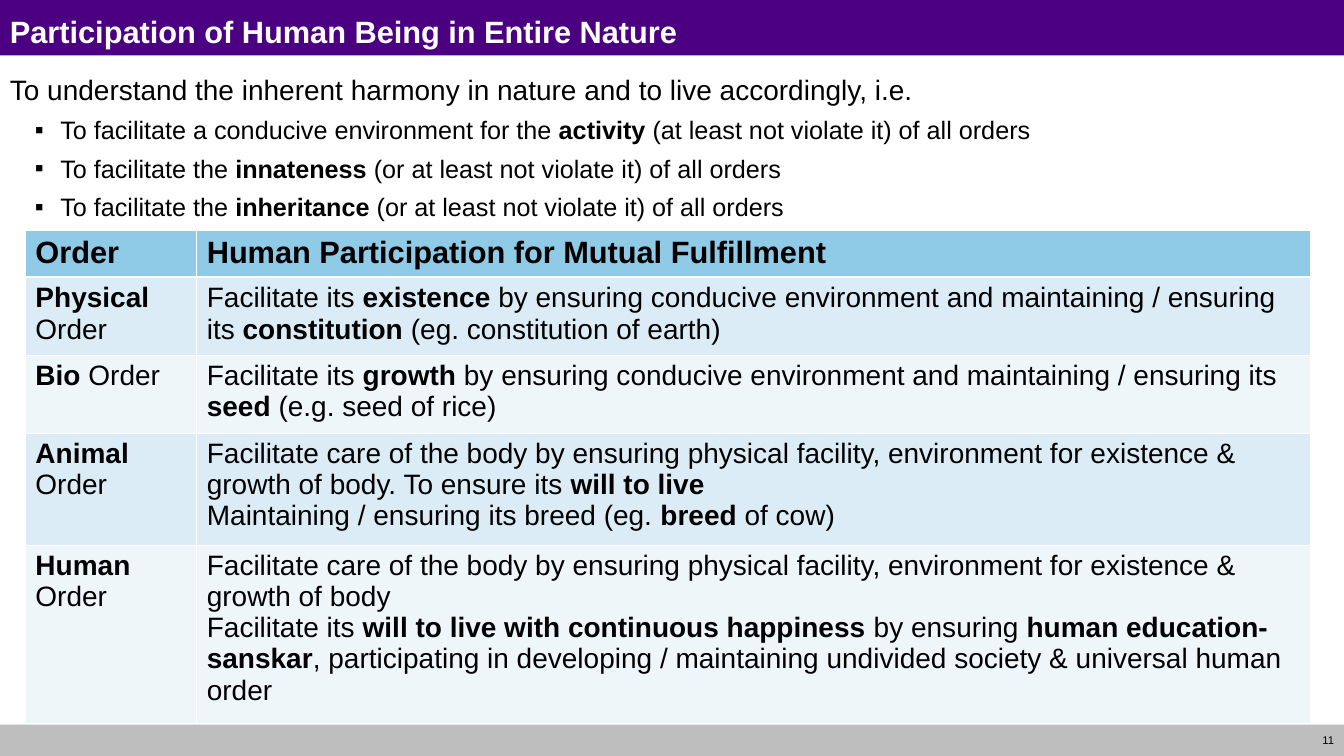
from pptx import Presentation
from pptx.dml.color import RGBColor
from pptx.enum.shapes import MSO_SHAPE
from pptx.enum.text import MSO_ANCHOR, PP_ALIGN
from pptx.oxml import parse_xml
from pptx.oxml.ns import nsdecls
from pptx.util import Cm, Pt

# Text between ** marks is bold.
TITLE = "Participation of Human Being in Entire Nature"
INTRO = "To understand the inherent harmony in nature and to live accordingly, i.e."
GOALS = [
    "To facilitate a conducive environment for the **activity** (at least not violate it) of all orders",
    "To facilitate the **innateness** (or at least not violate it) of all orders",
    "To facilitate the **inheritance** (or at least not violate it) of all orders",
]
HEADER = ("Order", "Human Participation for Mutual Fulfillment")
ORDERS = [
    ("**Physical** Order", [
        "Facilitate its **existence** by ensuring conducive environment and maintaining / ensuring "
        "its **constitution** (eg. constitution of earth)"]),
    ("**Bio** Order", [
        "Facilitate its **growth** by ensuring conducive environment and maintaining / ensuring "
        "its **seed** (e.g. seed of rice)"]),
    ("**Animal** Order", [
        "Facilitate care of the body by ensuring physical facility, environment for existence & "
        "growth of body. To ensure its **will to live**",
        "Maintaining / ensuring its breed (eg. **breed** of cow)"]),
    ("**Human** Order", [
        "Facilitate care of the body by ensuring physical facility, environment for existence & "
        "growth of body",
        "Facilitate its **will to live with continuous happiness** by ensuring "
        "**human education-sanskar**, participating in developing / maintaining undivided society "
        "& universal human order"]),
]
PAGE_NUMBER = "11"

FONT = "Arial"
BLACK = RGBColor(0x00, 0x00, 0x00)
WHITE = RGBColor(0xFF, 0xFF, 0xFF)
INDIGO = RGBColor(0x4B, 0x00, 0x82)
GREY = RGBColor(0xBE, 0xBE, 0xBE)
HEADER_BLUE = RGBColor(0x8F, 0xCA, 0xE7)
BAND_BLUES = (RGBColor(0xDB, 0xEC, 0xF6), RGBColor(0xEE, 0xF6, 0xFA))

SLIDE_W, SLIDE_H = Cm(33.88), Cm(19.05)
FOOTER_TOP = Cm(18.26)
FOOTER_H = SLIDE_H - FOOTER_TOP
PAGE_W = Cm(1.6)
COLUMN_WIDTHS = (Cm(4.32), Cm(28.07))
ROW_HEIGHTS = (Cm(1.19), Cm(1.96), Cm(1.96), Cm(2.82), Cm(4.5))
THIN, THICK = Pt(0.45), Pt(1.47)


def write(paragraph, marked_text, size, color=BLACK, bold=False):
    """Fill a paragraph, setting the parts between ** marks in bold."""
    paragraph.font.name = FONT
    paragraph.font.size = Pt(size)
    paragraph.font.color.rgb = color
    paragraph.font.bold = bold
    for position, part in enumerate(marked_text.split("**")):
        if part:
            run = paragraph.add_run()
            run.text = part
            if position % 2:
                run.font.bold = True


def add_bar(slide, top, height, color):
    bar = slide.shapes.add_shape(MSO_SHAPE.RECTANGLE, 0, top, SLIDE_W, height)
    bar.shadow.inherit = False
    bar.fill.solid()
    bar.fill.fore_color.rgb = color
    bar.line.fill.background()


def add_text_frame(slide, left, top, width, height):
    frame = slide.shapes.add_textbox(left, top, width, height).text_frame
    frame.word_wrap = True
    return frame


def add_bullet(paragraph):
    properties = paragraph._p.get_or_add_pPr()
    properties.set("marL", str(Cm(1.27)))
    properties.set("indent", str(-Cm(0.64)))
    properties.append(parse_xml(f'<a:buFont {nsdecls("a")} typeface="{FONT}"/>'))
    properties.append(parse_xml(f'<a:buChar {nsdecls("a")} char="▪"/>'))


def set_borders(cell, top, bottom):
    properties = cell._tc.get_or_add_tcPr()
    sides = (("lnL", THIN), ("lnR", THIN), ("lnT", top), ("lnB", bottom))
    for place, (side, width) in enumerate(sides):
        properties.insert(place, parse_xml(
            f'<a:{side} {nsdecls("a")} w="{int(width)}"><a:solidFill>'
            f'<a:srgbClr val="{WHITE}"/></a:solidFill></a:{side}>'))


def add_orders_table(slide):
    rows = [(HEADER[0], [HEADER[1]])] + ORDERS
    table = slide.shapes.add_table(
        len(rows), len(HEADER), Cm(0.64), Cm(5.8), sum(COLUMN_WIDTHS), sum(ROW_HEIGHTS)).table
    table.horz_banding = False
    for column, width in zip(table.columns, COLUMN_WIDTHS):
        column.width = width
    for index, (order, participation) in enumerate(rows):
        table.rows[index].height = ROW_HEIGHTS[index]
        is_header = index == 0
        for column, lines in enumerate(([order], participation)):
            cell = table.cell(index, column)
            cell.fill.solid()
            cell.fill.fore_color.rgb = HEADER_BLUE if is_header else BAND_BLUES[(index - 1) % 2]
            set_borders(cell, THICK if index == 1 else THIN, THICK if is_header else THIN)
            frame = cell.text_frame
            for number, line in enumerate(lines):
                paragraph = frame.add_paragraph() if number else frame.paragraphs[0]
                write(paragraph, line, 22 if is_header else 20, bold=is_header)


def main():
    deck = Presentation()
    deck.slide_width, deck.slide_height = SLIDE_W, SLIDE_H
    slide = deck.slides.add_slide(deck.slide_layouts[6])

    add_bar(slide, 0, Cm(1.4), INDIGO)
    add_bar(slide, FOOTER_TOP, FOOTER_H, GREY)

    page = add_text_frame(slide, SLIDE_W - PAGE_W, FOOTER_TOP, PAGE_W, FOOTER_H)
    page.vertical_anchor = MSO_ANCHOR.MIDDLE
    page.paragraphs[0].alignment = PP_ALIGN.RIGHT
    write(page.paragraphs[0], PAGE_NUMBER, 8)

    title = add_text_frame(slide, 0, Cm(0.2), SLIDE_W, Cm(1.07))
    write(title.paragraphs[0], TITLE, 22, WHITE, bold=True)

    body = add_text_frame(slide, 0, Cm(1.7), SLIDE_W, Cm(4))
    write(body.paragraphs[0], INTRO, 20)
    for goal in GOALS:
        paragraph = body.add_paragraph()
        paragraph.space_before = Pt(6)
        add_bullet(paragraph)
        write(paragraph, goal, 18)

    add_orders_table(slide)
    deck.save("out.pptx")


if __name__ == "__main__":
    main()
